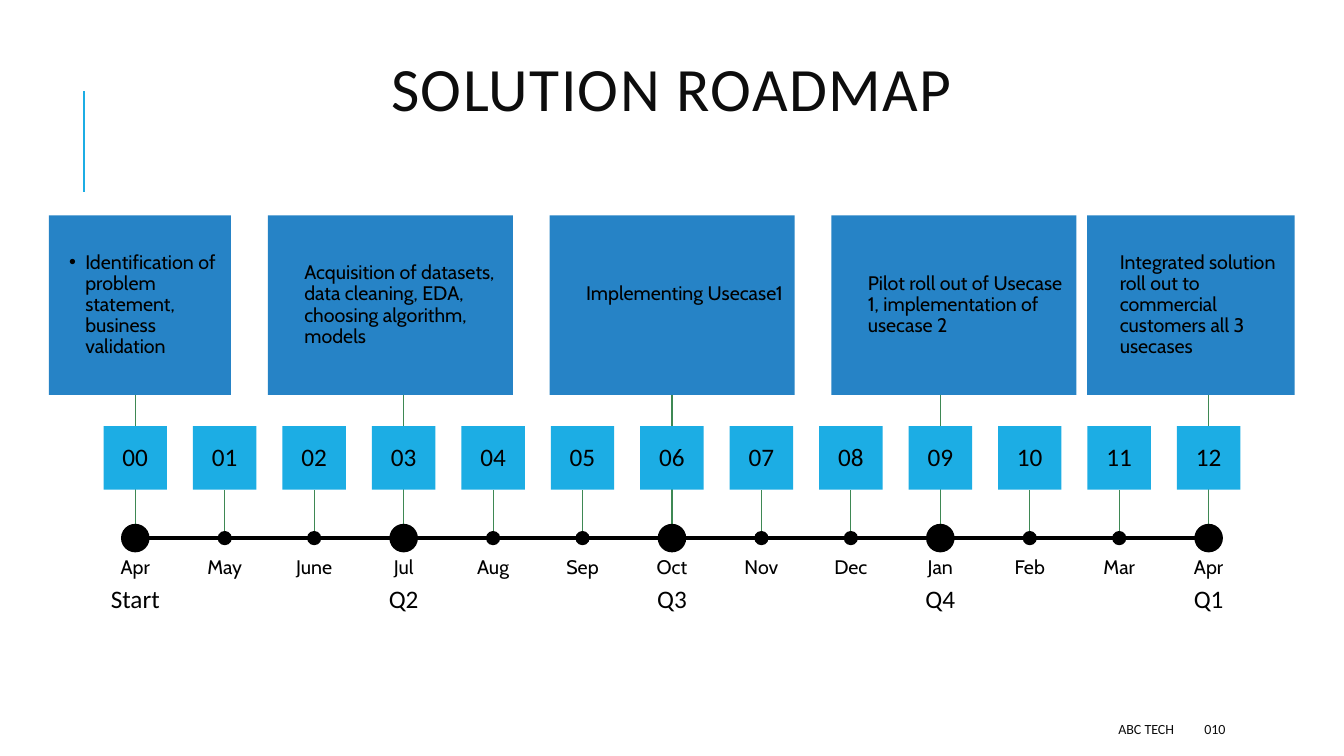
from lxml.etree import SubElement
from pptx import Presentation
from pptx.dml.color import RGBColor
from pptx.enum.shapes import MSO_CONNECTOR, MSO_SHAPE
from pptx.enum.text import MSO_ANCHOR, MSO_AUTO_SIZE, PP_ALIGN
from pptx.oxml.ns import qn
from pptx.util import Cm, Pt

COLORS = {
    "text": "000000",
    "title": "0D0D0D",
    "card": "2683C6",
    "number": "1CADE4",
    "stem": "3E8853",
    "axis": "000000",
}
HEADING_FONT, BODY_FONT = "Calibri", "Cabin"

MONTHS = ["Apr", "May", "June", "Jul", "Aug", "Sep", "Oct",
          "Nov", "Dec", "Jan", "Feb", "Mar", "Apr"]
QUARTERS = ["Start", "Q2", "Q3", "Q4", "Q1"]
MONTHS_PER_QUARTER = 3

# Lengths in centimetres
AXIS_LEFT, AXIS_RIGHT, AXIS_Y = 3.41, 30.46, 13.56
PITCH = (AXIS_RIGHT - AXIS_LEFT) / (len(MONTHS) - 1)
NUMBER_TOP, NUMBER_SIDE = 10.74, 1.6
CARD_TOP, CARD_HEIGHT = 5.43, 4.52
LABEL_WIDTH, LABEL_HEIGHT = 1.85, 0.74
MONTH_TOP, QUARTER_TOP = 13.94, 14.76
HANGING = 0.41

# Left, width, left inset, bottom inset, text
CARDS = [
    (1.23, 4.59, 0.51, 0.13,
     "Identification of problem statement, business validation"),
    (6.75, 6.18, 0.51, 0.13,
     "Acquisition of datasets, data cleaning, EDA, choosing algorithm, models"),
    (13.85, 6.18, 0.51, 0.69, "Implementing Usecase1"),
    (20.95, 6.18, 0.51, 0.13,
     "Pilot roll out of Usecase 1, implementation of usecase 2"),
    (27.4, 5.23, 0.41, 0.13,
     "Integrated solution roll out to commercial customers all 3 usecases"),
]


def color(name):
    return RGBColor.from_string(COLORS[name])


def write(box, text, size, font, align=PP_ALIGN.CENTER, spacing=0.9,
          insets=(0, 0, 0, 0), ink="text"):
    """Fill a box with one paragraph; insets are left, top, right, bottom."""
    frame = box.text_frame
    frame.word_wrap = True
    frame.auto_size = MSO_AUTO_SIZE.NONE
    frame.vertical_anchor = MSO_ANCHOR.MIDDLE
    (frame.margin_left, frame.margin_top,
     frame.margin_right, frame.margin_bottom) = map(Cm, insets)
    para = frame.paragraphs[0]
    para.alignment = align
    para.line_spacing = spacing
    span = para.add_run()
    span.text = text
    span.font.size = Pt(size)
    span.font.name = font
    span.font.color.rgb = color(ink)
    return para


def add_line(page, start, end, ink, width):
    line = page.shapes.add_connector(
        MSO_CONNECTOR.STRAIGHT, *map(Cm, (*start, *end)))
    line.line.color.rgb = color(ink)
    line.line.width = Pt(width)
    SubElement(line._element.spPr, qn("a:effectLst"))
    return line


def add_filled(page, preset, left, top, width, height, fill):
    shape = page.shapes.add_shape(
        preset, *map(Cm, (left, top, width, height)))
    shape.shadow.inherit = False
    shape.fill.solid()
    shape.fill.fore_color.rgb = color(fill)
    shape.line.fill.background()
    return shape


def add_label(page, left, top, width, height, text, size, font, **options):
    box = page.shapes.add_textbox(*map(Cm, (left, top, width, height)))
    write(box, text, size, font, **options)


def add_title(page, text):
    title = page.shapes.title
    title.left, title.top, title.width, title.height = map(
        Cm, (4.23, 1.42, 25.4, 1.9))
    para = write(title, text, 44, HEADING_FONT, spacing=0.8, ink="title")
    para.runs[0]._r.get_or_add_rPr().set("spc", "100")


def add_card(page, left, width, left_inset, bottom_inset, text, bulleted):
    card = add_filled(page, MSO_SHAPE.RECTANGLE, left, CARD_TOP,
                      width, CARD_HEIGHT, "card")
    para = write(card, text, 14, BODY_FONT, PP_ALIGN.LEFT,
                 insets=(left_inset, 0.13, 0.13, bottom_inset))
    properties = para._p.get_or_add_pPr()
    properties.set("marL", str(Cm(HANGING)))
    properties.set("indent", str(-Cm(HANGING) if bulleted else 0))
    if bulleted:
        SubElement(properties, qn("a:buFont"), typeface="Arial")
        SubElement(properties, qn("a:buChar"), char="•")


def add_month(page, index, month):
    """Draw one stop of the timeline: stem, dot, number and month name."""
    center = AXIS_LEFT + index * PITCH
    milestone = index % MONTHS_PER_QUARTER == 0
    dot = 0.72 if milestone else 0.36
    stem_top = CARD_TOP + CARD_HEIGHT if milestone else NUMBER_TOP + NUMBER_SIDE
    stem = add_line(page, (center, AXIS_Y), (center, stem_top), "stem", 0.75)
    add_filled(page, MSO_SHAPE.OVAL, center - dot / 2, AXIS_Y - dot / 2,
               dot, dot, "axis")
    number = add_filled(page, MSO_SHAPE.RECTANGLE, center - NUMBER_SIDE / 2,
                        NUMBER_TOP, NUMBER_SIDE, NUMBER_SIDE, "number")
    write(number, f"{index:02d}", 18, HEADING_FONT, insets=(0.13,) * 4)
    if not milestone:
        stem.end_connect(number, 2)

    label_left = center - LABEL_WIDTH / 2
    add_label(page, label_left, MONTH_TOP, LABEL_WIDTH, LABEL_HEIGHT,
              month, 14, BODY_FONT)
    if milestone:
        add_label(page, label_left, QUARTER_TOP, LABEL_WIDTH, LABEL_HEIGHT,
                  QUARTERS[index // MONTHS_PER_QUARTER], 18, HEADING_FONT)


def add_footer(page):
    for left, width, text, align in (
            (13.46, 16.38, "ABC TECH", PP_ALIGN.RIGHT),
            (30.1, 2.69, "010", PP_ALIGN.LEFT)):
        add_label(page, left, 17.98, width, 0.76, text, 10, HEADING_FONT,
                  align=align, spacing=1.0, ink="title",
                  insets=(0.25, 0.13, 0.25, 0.13))


def main():
    deck = Presentation()
    deck.slide_width, deck.slide_height = Cm(33.87), Cm(19.05)
    page = deck.slides.add_slide(deck.slide_layouts[5])

    add_title(page, "SOLUTION ROADMAP")
    add_line(page, (2.12, 4.83), (2.12, 2.29), "number", 1.5)
    add_line(page, (AXIS_LEFT, AXIS_Y), (AXIS_RIGHT, AXIS_Y), "axis", 2.84)
    for index, month in enumerate(MONTHS):
        add_month(page, index, month)
    for index, card in enumerate(CARDS):
        add_card(page, *card, bulleted=index == 0)
    add_footer(page)

    deck.save("out.pptx")


if __name__ == "__main__":
    main()
